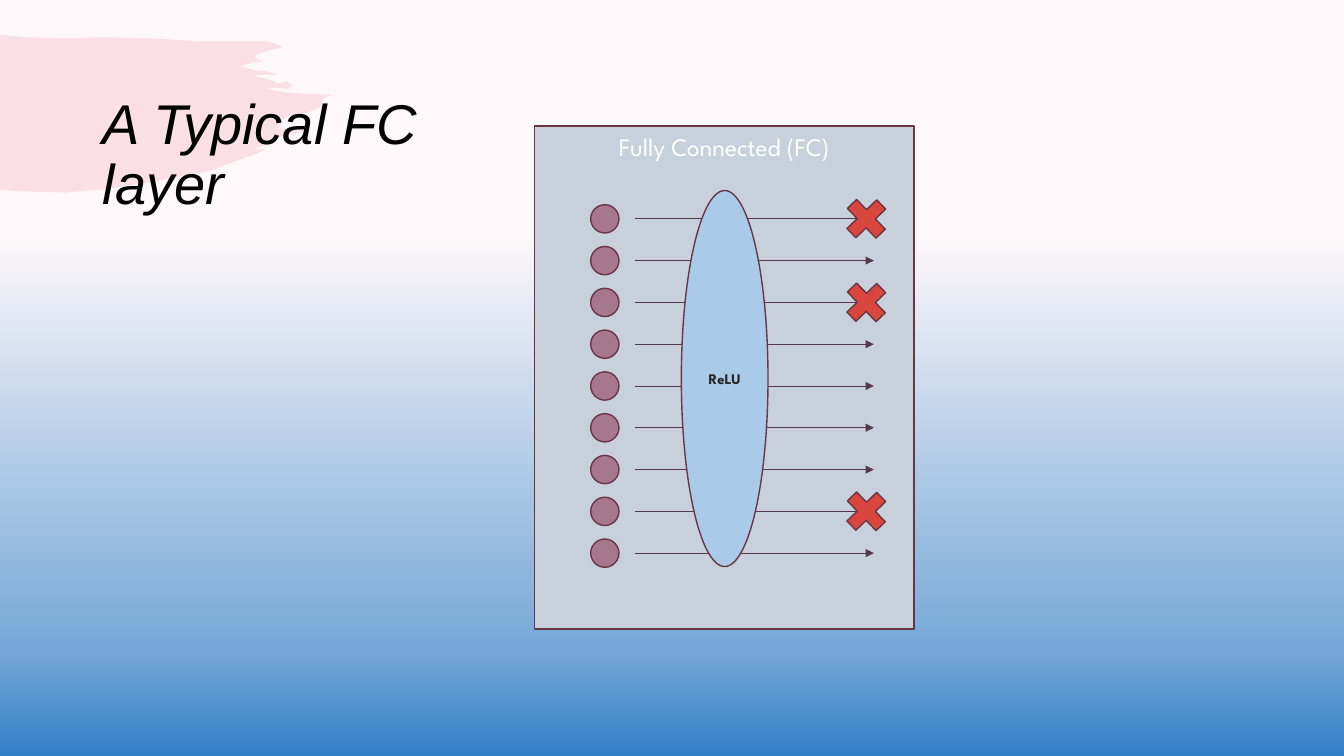
"""Build a slide showing a fully connected layer with ReLU and dropped outputs."""
from copy import deepcopy

from lxml.etree import SubElement
from pptx import Presentation
from pptx.dml.color import RGBColor
from pptx.enum.shapes import MSO_CONNECTOR as Connector, MSO_SHAPE as Preset
from pptx.enum.text import MSO_ANCHOR as Anchor, MSO_AUTO_SIZE as AutoSize, PP_ALIGN as Align
from pptx.oxml.ns import qn
from pptx.util import Pt

BLACK = RGBColor(0x00, 0x00, 0x00)
WHITE = RGBColor(0xFF, 0xFF, 0xFF)
CHARCOAL = RGBColor(0x26, 0x26, 0x26)
PINK = RGBColor(0xF0, 0x7C, 0x98)
PANEL_GREY = RGBColor(0xC8, 0xD1, 0xDB)
OUTLINE = RGBColor(0x69, 0x36, 0x43)
ARROW = RGBColor(0x56, 0x38, 0x46)
MAUVE = RGBColor(0xA6, 0x77, 0x8D)
SKY = RGBColor(0xA9, 0xCB, 0xE9)
RED = RGBColor(0xD9, 0x46, 0x3E)
BACKGROUND = [
    (0.31, RGBColor(0xFE, 0xF8, 0xFA)),
    (0.86, RGBColor(0x75, 0xA8, 0xD7)),
    (1.0, RGBColor(0x32, 0x80, 0xC6)),
]

TITLE_FONT = {"name": "Arial", "size": Pt(40), "italic": True}
PANEL_FONT = {"name": "League Spartan", "size": Pt(18)}
RELU_FONT = {"name": "League Spartan", "size": Pt(10.5), "bold": True}

BRUSH_UNIT = Pt(0.72)
BRUSH = [
    (0, 34), (6, 35), (25, 37), (66, 38), (102, 37), (151, 38), (194, 41),
    (248, 41), (264, 41), (273, 43), (280, 47), (271, 49), (255, 54), (253, 57),
    (256, 59), (262, 62), (250, 62), (238, 66), (246, 68), (256, 70), (266, 71),
    (275, 74), (263, 74), (251, 75), (263, 78), (273, 81), (276, 83), (280, 82),
    (284, 81), (288, 83), (290, 85), (287, 88), (284, 88), (274, 87), (263, 88),
    (285, 92), (330, 94), (321, 97), (318, 106), (307, 111), (300, 113),
    (283, 116), (280, 120), (278, 125), (274, 128), (291, 127), (308, 128),
    (289, 133), (269, 138), (273, 142), (262, 144), (252, 148), (263, 148),
    (256, 152), (233, 160), (210, 169), (197, 172), (148, 181), (102, 188),
    (65, 191), (23, 190), (7, 189), (0, 188),
]

ROWS = 9
DROPPED_ROWS = (0, 2, 7)
FIRST_ROW, ROW_STEP = 156.3, 29.85
NEURON_X, NEURON_SIZE = 432, 20.2
ARROW_START, ARROW_END = 453.6, 624.2
CROSS_X, CROSS_SIZE = 618.8, 29.5


class LayerSlide:
    """Draw styled elements on one slide, with lengths in points."""

    def __init__(self, presentation):
        self.slide = presentation.slides.add_slide(presentation.slide_layouts[5])
        self.shapes = self.slide.shapes

    def background(self, stops):
        fill = self.slide.background.fill
        fill.gradient()
        fill.gradient_angle = 270
        first = self.slide.element.xpath(".//a:gs")[0]
        first.addnext(deepcopy(first))
        for stop, (position, color) in zip(fill.gradient_stops, stops):
            stop.position = position
            stop.color.rgb = color

    def font(self, paragraph, style, color):
        for name, value in style.items():
            setattr(paragraph.font, name, value)
        paragraph.font.color.rgb = color

    def title(self, text, left, top, width, height):
        title = self.shapes.title
        box = dict(left=left, top=top, width=width, height=height)
        for name, value in box.items():
            setattr(title, name, Pt(value))
        frame = title.text_frame
        frame.text = text
        frame.auto_size = AutoSize.NONE
        frame.vertical_anchor = Anchor.MIDDLE
        paragraph = frame.paragraphs[0]
        paragraph.alignment = Align.LEFT
        paragraph.line_spacing = 0.9
        self.font(paragraph, TITLE_FONT, BLACK)
        self.shapes.element.append(title.element)

    def brush(self, points, color, opacity):
        builder = self.shapes.build_freeform(*points[0], scale=BRUSH_UNIT)
        builder.add_line_segments(points[1:])
        shape = builder.convert_to_shape()
        shape.shadow.inherit = False
        shape.fill.solid()
        shape.fill.fore_color.rgb = color
        shape.line.fill.background()
        tint = shape.element.spPr.find(qn("a:solidFill")).find(qn("a:srgbClr"))
        SubElement(tint, qn("a:alpha"), val=str(opacity * 1000))

    def shape(self, preset, left, top, width, height, color):
        shape = self.shapes.add_shape(preset, Pt(left), Pt(top), Pt(width), Pt(height))
        shape.shadow.inherit = False
        shape.fill.solid()
        shape.fill.fore_color.rgb = color
        shape.line.color.rgb = OUTLINE
        shape.line.width = Pt(1)
        return shape

    def label(self, shape, text, style, color, anchor):
        frame = shape.text_frame
        frame.text = text
        frame.vertical_anchor = anchor
        paragraph = frame.paragraphs[0]
        paragraph.alignment = Align.CENTER
        self.font(paragraph, style, color)

    def neuron(self, x, y):
        half = NEURON_SIZE / 2
        self.shape(Preset.OVAL, x - half, y - half, NEURON_SIZE, NEURON_SIZE, MAUVE)

    def cross(self, x, y):
        half = CROSS_SIZE / 2
        cross = self.shape(Preset.CROSS, x - half, y - half, CROSS_SIZE, CROSS_SIZE, RED)
        cross.adjustments[0] = 0.344
        cross.rotation = 46.1

    def arrow(self, start, end, y):
        arrow = self.shapes.add_connector(Connector.STRAIGHT, Pt(start), Pt(y), Pt(end), Pt(y))
        arrow.line.color.rgb = ARROW
        arrow.line.width = Pt(0.5)
        SubElement(arrow.line._get_or_add_ln(), qn("a:tailEnd"), type="triangle")
        SubElement(arrow.element.spPr, qn("a:effectLst"))


def main():
    presentation = Presentation()
    presentation.slide_width, presentation.slide_height = Pt(960), Pt(540)
    layer = LayerSlide(presentation)
    layer.background(BACKGROUND)
    layer.brush(BRUSH, PINK, 20)

    panel = layer.shape(Preset.RECTANGLE, 381.6, 90, 271.4, 359.3, PANEL_GREY)
    layer.label(panel, "Fully Connected (FC)", PANEL_FONT, WHITE, Anchor.TOP)

    rows = [FIRST_ROW + ROW_STEP * row for row in range(ROWS)]
    for y in rows:
        layer.neuron(NEURON_X, y)
        layer.arrow(ARROW_START, ARROW_END, y)

    relu = layer.shape(Preset.OVAL, 486.7, 136.1, 61.9, 268.6, SKY)
    layer.label(relu, "ReLU", RELU_FONT, CHARCOAL, Anchor.MIDDLE)
    for row in DROPPED_ROWS:
        layer.cross(CROSS_X, rows[row])

    layer.title("A Typical FC layer", 66.2, 28.8, 280.8, 165.6)
    presentation.save("out.pptx")


if __name__ == "__main__":
    main()
